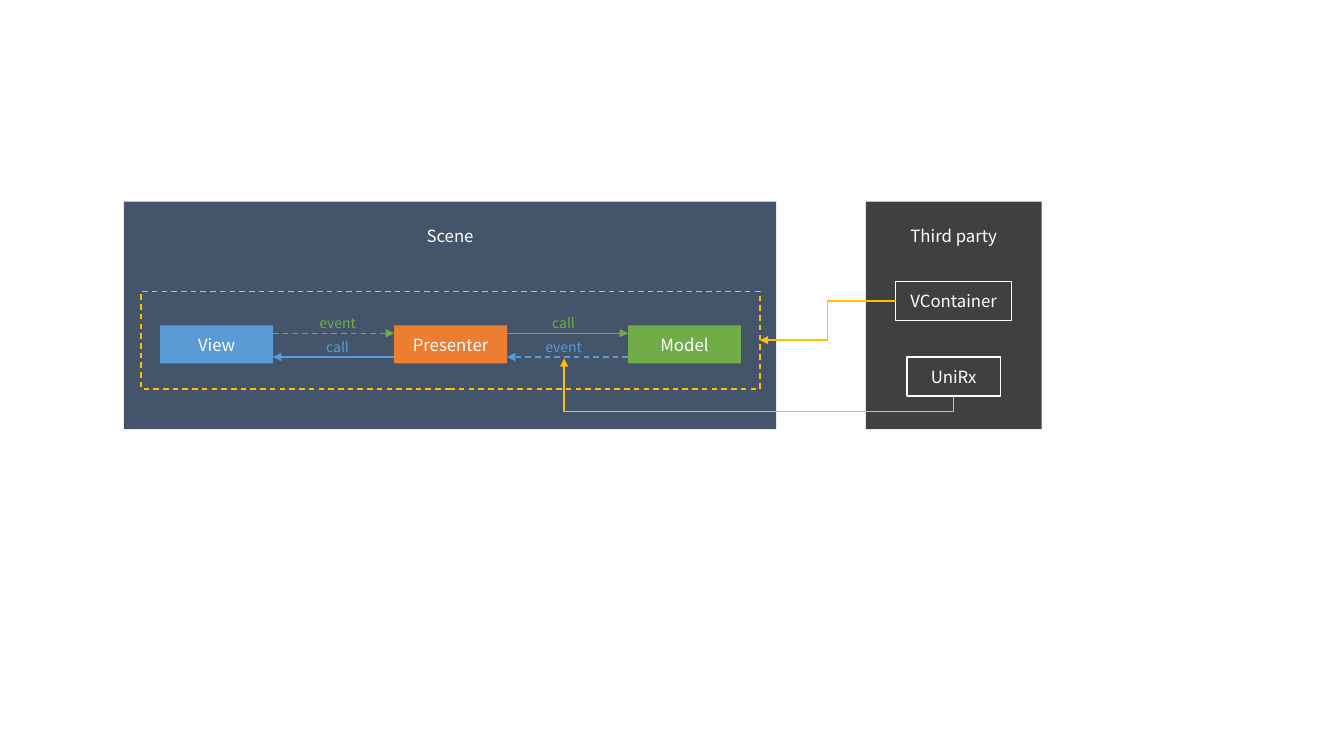
from lxml import etree
from pptx import Presentation
from pptx.dml.color import RGBColor
from pptx.enum.dml import MSO_LINE
from pptx.enum.shapes import MSO_CONNECTOR, MSO_SHAPE
from pptx.enum.text import MSO_ANCHOR, PP_ALIGN
from pptx.oxml.ns import qn
from pptx.util import Pt

RECTANGLE = MSO_SHAPE.RECTANGLE
STRAIGHT, ELBOW = MSO_CONNECTOR.STRAIGHT, MSO_CONNECTOR.ELBOW
DASH = MSO_LINE.DASH
TOP, MIDDLE = MSO_ANCHOR.TOP, MSO_ANCHOR.MIDDLE
CENTER = PP_ALIGN.CENTER

SLATE = RGBColor(0x44, 0x54, 0x6A)
CHARCOAL = RGBColor(0x40, 0x40, 0x40)
BLUE = RGBColor(0x5B, 0x9B, 0xD5)
ORANGE = RGBColor(0xED, 0x7D, 0x31)
GREEN = RGBColor(0x70, 0xAD, 0x47)
GOLD = RGBColor(0xFF, 0xC0, 0x00)
WHITE = RGBColor(0xFF, 0xFF, 0xFF)

FONT = "Noto Sans CJK JP"
PANELS = [("Scene", 88.5, 466, SLATE), ("Third party", 618.5, 125.5, CHARCOAL)]
PANEL_TOP, PANEL_HEIGHT, HEADING_INSET = 144, 162.5, 17.5
ROLES = [("View", BLUE), ("Presenter", ORANGE), ("Model", GREEN)]
ROLE_LEFT, ROLE_TOP, ROLE_WIDTH, ROLE_HEIGHT, ROLE_STEP = 114.4, 232.5, 80.7, 27, 167.1
LIBRARIES = [("VContainer", 201, 82.8), ("UniRx", 255, 66.5)]
LIBRARY_HEIGHT = 28
FRAME = (100.8, 208, 442, 70)
MESSAGES = [
    ("event", 0, 1, GREEN, True),
    ("call", 1, 0, BLUE, False),
    ("call", 1, 2, GREEN, False),
    ("event", 2, 1, BLUE, True),
]
LANES = {GREEN: (238, 222.5), BLUE: (255, 239.8)}
LABEL_HEIGHT = 16.6
UNIRX_TARGET = (403, 256)
UNIRX_DROP = 10.8


def write(box, text, size, color, anchor=MIDDLE, inset=0):
    frame = box.text_frame
    frame.word_wrap = True
    frame.vertical_anchor = anchor
    frame.margin_left = frame.margin_right = frame.margin_bottom = 0
    frame.margin_top = Pt(inset)
    para = frame.paragraphs[0]
    para.text = text
    para.alignment = CENTER
    para.font.name = FONT
    para.font.size = Pt(size)
    para.font.color.rgb = color


def add_box(page, left, top, width, height, fill=None, line=None):
    box = page.shapes.add_shape(RECTANGLE, Pt(left), Pt(top), Pt(width), Pt(height))
    box.shadow.inherit = False
    if fill is None:
        box.fill.background()
    else:
        box.fill.solid()
        box.fill.fore_color.rgb = fill
    if line is None:
        box.line.fill.background()
    else:
        box.line.color.rgb = line
        box.line.width = Pt(1)
    return box


def add_arrow(page, kind, begin, end, color, dashed=False):
    arrow = page.shapes.add_connector(kind, *map(Pt, begin + end))
    arrow.line.color.rgb = color
    arrow.line.width = Pt(1)
    if dashed:
        arrow.line.dash_style = DASH
    etree.SubElement(arrow.line._get_or_add_ln(), qn("a:tailEnd"), type="triangle")
    etree.SubElement(arrow._element.spPr, qn("a:effectLst"))
    return arrow


def add_upward_elbow(page, begin, end, drop, color):
    center_x, center_y = (begin[0] + end[0]) / 2, (begin[1] + end[1]) / 2
    half_x, half_y = (begin[0] - end[0]) / 2, (begin[1] - end[1]) / 2
    arrow = add_arrow(page, ELBOW, (center_x + half_y, center_y - half_x),
                      (center_x - half_y, center_y + half_x), color)
    properties = arrow._element.spPr
    properties.find(qn("a:xfrm")).set("rot", "5400000")
    geometry = properties.find(qn("a:prstGeom"))
    adjustments = geometry.find(qn("a:avLst"))
    if adjustments is None:
        adjustments = etree.SubElement(geometry, qn("a:avLst"))
    share = round(-drop / (2 * half_y) * 100000)
    etree.SubElement(adjustments, qn("a:gd"), name="adj1", fmla=f"val {share}")


def main():
    deck = Presentation()
    deck.slide_width, deck.slide_height = Pt(960), Pt(540)
    page = deck.slides.add_slide(deck.slide_layouts[6])

    for name, left, width, color in PANELS:
        panel = add_box(page, left, PANEL_TOP, width, PANEL_HEIGHT, color)
        write(panel, name, 12, WHITE, TOP, HEADING_INSET)

    role_lefts = [ROLE_LEFT + index * ROLE_STEP for index in range(len(ROLES))]
    for (name, color), left in zip(ROLES, role_lefts):
        write(add_box(page, left, ROLE_TOP, ROLE_WIDTH, ROLE_HEIGHT, color), name, 12, WHITE)

    presenter_left = role_lefts[1]
    for text, source, target, color, dashed in MESSAGES:
        line_y, label_top = LANES[color]
        first = min(source, target)
        start, stop = role_lefts[first] + ROLE_WIDTH, role_lefts[first + 1]
        if source > target:
            start, stop = stop, start
        add_arrow(page, STRAIGHT, (start, line_y), (stop, line_y), color, dashed)
        label_left = presenter_left + (ROLE_WIDTH if first else -ROLE_WIDTH)
        label = page.shapes.add_textbox(Pt(label_left), Pt(label_top), Pt(ROLE_WIDTH), Pt(LABEL_HEIGHT))
        write(label, text, 10, color)

    frame = add_box(page, *FRAME, line=GOLD)
    frame.line.dash_style = DASH

    third_left, third_width = PANELS[1][1:3]
    library_center = third_left + third_width / 2
    libraries = {}
    for name, top, width in LIBRARIES:
        box = add_box(page, library_center - width / 2, top, width, LIBRARY_HEIGHT, CHARCOAL, WHITE)
        write(box, name, 12, WHITE)
        libraries[name] = box

    frame_left, frame_top, frame_width, frame_height = FRAME
    container_top, container_width = LIBRARIES[0][1:]
    container_side = (library_center - container_width / 2, container_top + LIBRARY_HEIGHT / 2)
    frame_side = (frame_left + frame_width, frame_top + frame_height / 2)
    injection = add_arrow(page, ELBOW, container_side, frame_side, GOLD)
    injection.begin_connect(libraries["VContainer"], 1)
    injection.end_connect(frame, 3)

    unirx_bottom = (library_center, LIBRARIES[1][1] + LIBRARY_HEIGHT)
    add_upward_elbow(page, unirx_bottom, UNIRX_TARGET, UNIRX_DROP, GOLD)

    deck.save("out.pptx")


if __name__ == "__main__":
    main()
